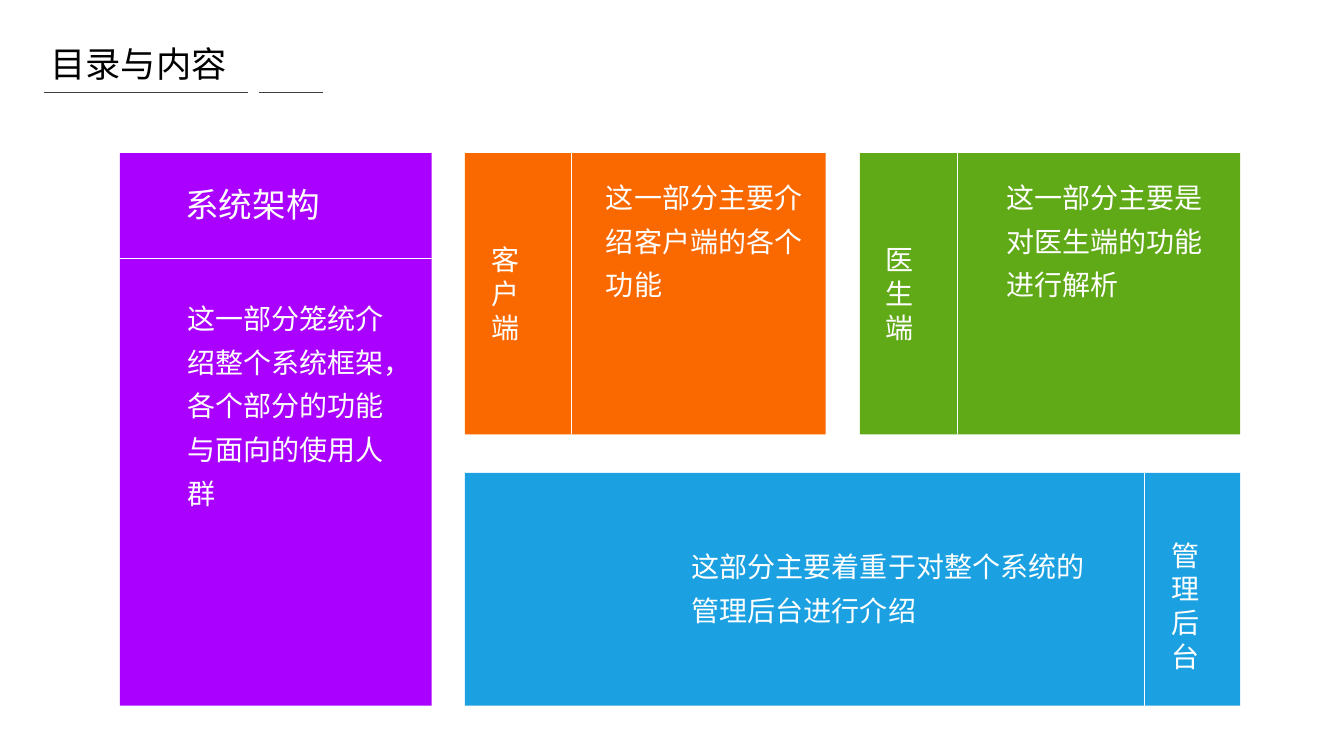
from lxml.etree import SubElement
from pptx import Presentation
from pptx.dml.color import RGBColor
from pptx.enum.shapes import MSO_CONNECTOR, MSO_SHAPE
from pptx.enum.text import MSO_ANCHOR
from pptx.oxml.ns import qn
from pptx.util import Inches, Pt

WHITE, BLACK, GREY = "FFFFFF", "000000", "404040"
HEADING_FONT, BODY_FONT = "Calibri", "Noto Sans CJK SC"

TITLE = "目录与内容"
TITLE_BOX = (0.4, 0.4, 5.95, 0.52)
RULE_TOP = 0.92
RULES = [(0.44, 2.46), (2.57, 3.2)]

# Edges of the tile grid
COLUMNS = [(1.19, 4.28), (4.61, 8.19), (8.53, 12.3)]
ROWS = [(1.52, 4.31), (4.69, 7.0)]

# columns and rows: first and last grid index; divider: start, end
TILES = [
    dict(color="AA00FF", columns=(0, 0), rows=(0, 1),
         divider=((1.19, 2.56), (4.28, 2.56)),
         heading="系统架构", heading_box=(1.74, 1.78, 2.38, 0.5), heading_size=24,
         body="这一部分笼统介绍整个系统框架，各个部分的功能与面向的使用人群",
         body_box=(1.79, 2.85, 2.12, 2.26)),
    dict(color="1BA1E2", columns=(1, 2), rows=(1, 1),
         divider=((11.35, 4.44), (11.35, 7.24)),
         heading="管理后台", heading_box=(11.52, 5.29, 0.45, 1.45), heading_size=20,
         body="这部分主要着重于对整个系统的管理后台进行介绍",
         body_box=(6.79, 5.31, 4.22, 0.95)),
    dict(color="FA6800", columns=(1, 1), rows=(0, 0),
         divider=((5.67, 1.51), (5.67, 4.31)),
         heading="客户端", heading_box=(4.78, 2.36, 0.56, 1.11), heading_size=20,
         body="这一部分主要介绍客户端的各个功能",
         body_box=(5.94, 1.65, 2.12, 1.39)),
    dict(color="60A917", columns=(2, 2), rows=(0, 0),
         divider=((9.5, 1.51), (9.5, 4.31)),
         heading="医生端", heading_box=(8.68, 2.36, 0.52, 1.11), heading_size=20,
         body="这一部分主要是对医生端的功能进行解析",
         body_box=(9.91, 1.65, 2.12, 1.39)),
]


def rgb(color):
    return RGBColor.from_string(color)


def add_line(slide, start, end, color):
    points = [Inches(value) for value in (*start, *end)]
    line = slide.shapes.add_connector(MSO_CONNECTOR.STRAIGHT, *points)
    line.line.color.rgb = rgb(color)
    line.line.width = Pt(0.5)
    SubElement(line._element.spPr, qn("a:effectLst"))


def add_text(slide, text, box, size, font=HEADING_FONT, color=WHITE,
             spacing=None, margins=(0.1, 0.05), anchor=MSO_ANCHOR.TOP):
    shape = slide.shapes.add_textbox(*map(Inches, box))
    frame = shape.text_frame
    frame.word_wrap = True
    frame.vertical_anchor = anchor
    frame.margin_left = frame.margin_right = Inches(margins[0])
    frame.margin_top = frame.margin_bottom = Inches(margins[1])
    paragraph = frame.paragraphs[0]
    paragraph.text = text
    paragraph.line_spacing = spacing
    paragraph.font.name = font
    paragraph.font.size = Pt(size)
    paragraph.font.color.rgb = rgb(color)


def add_tile(slide, tile):
    first_column, last_column = (COLUMNS[index] for index in tile["columns"])
    first_row, last_row = (ROWS[index] for index in tile["rows"])
    left, top = first_column[0], first_row[0]
    box = (left, top, last_column[1] - left, last_row[1] - top)
    shape = slide.shapes.add_shape(MSO_SHAPE.RECTANGLE, *map(Inches, box))
    shape.shadow.inherit = False
    shape.fill.solid()
    shape.fill.fore_color.rgb = rgb(tile["color"])
    shape.line.fill.background()
    add_line(slide, *tile["divider"], WHITE)
    add_text(slide, tile["heading"], tile["heading_box"], tile["heading_size"])
    add_text(slide, tile["body"], tile["body_box"], 20, BODY_FONT,
             spacing=1.3, margins=(0.07, 0.04))


def main():
    presentation = Presentation()
    presentation.slide_width, presentation.slide_height = Inches(13.33), Inches(7.5)
    slide = presentation.slides.add_slide(presentation.slide_layouts[6])
    for left, right in RULES:
        add_line(slide, (left, RULE_TOP), (right, RULE_TOP), GREY)
    add_text(slide, TITLE, TITLE_BOX, 25.2, color=BLACK, spacing=0.9,
             anchor=MSO_ANCHOR.MIDDLE)
    for tile in TILES:
        add_tile(slide, tile)
    presentation.save("out.pptx")


if __name__ == "__main__":
    main()
